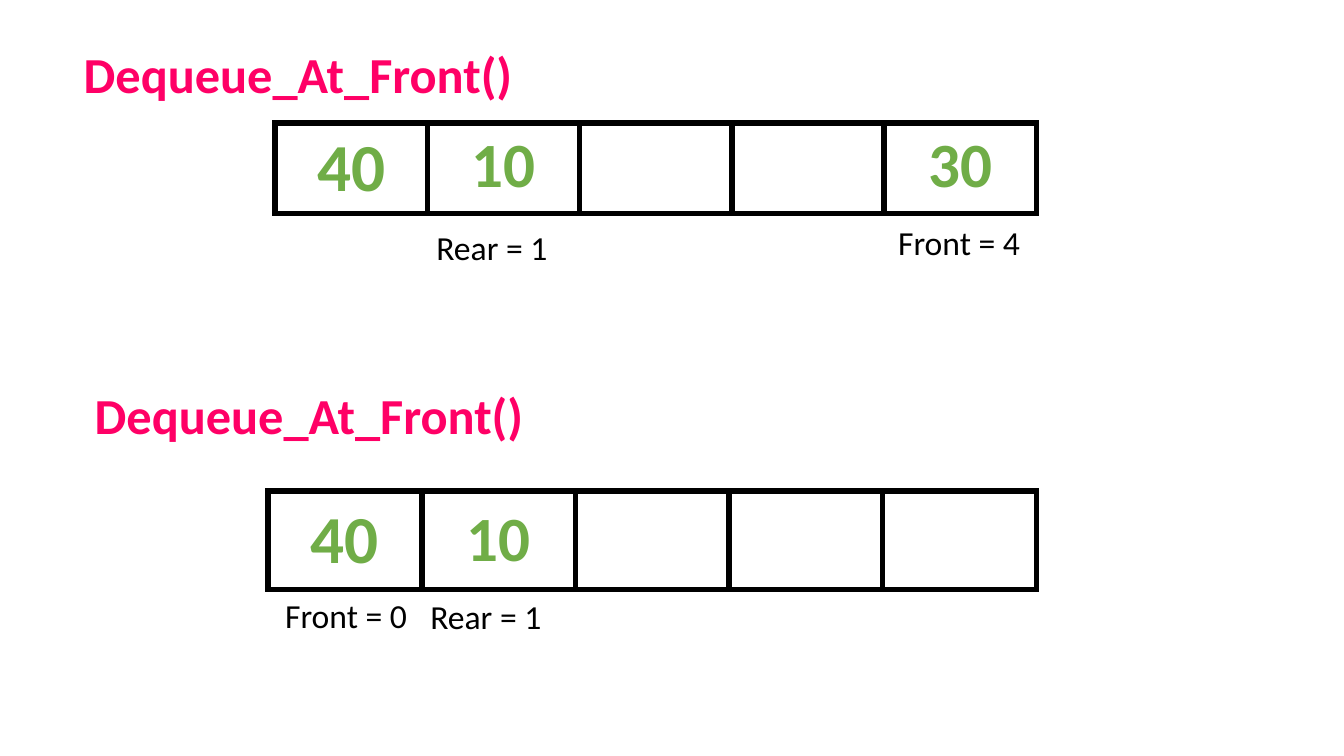
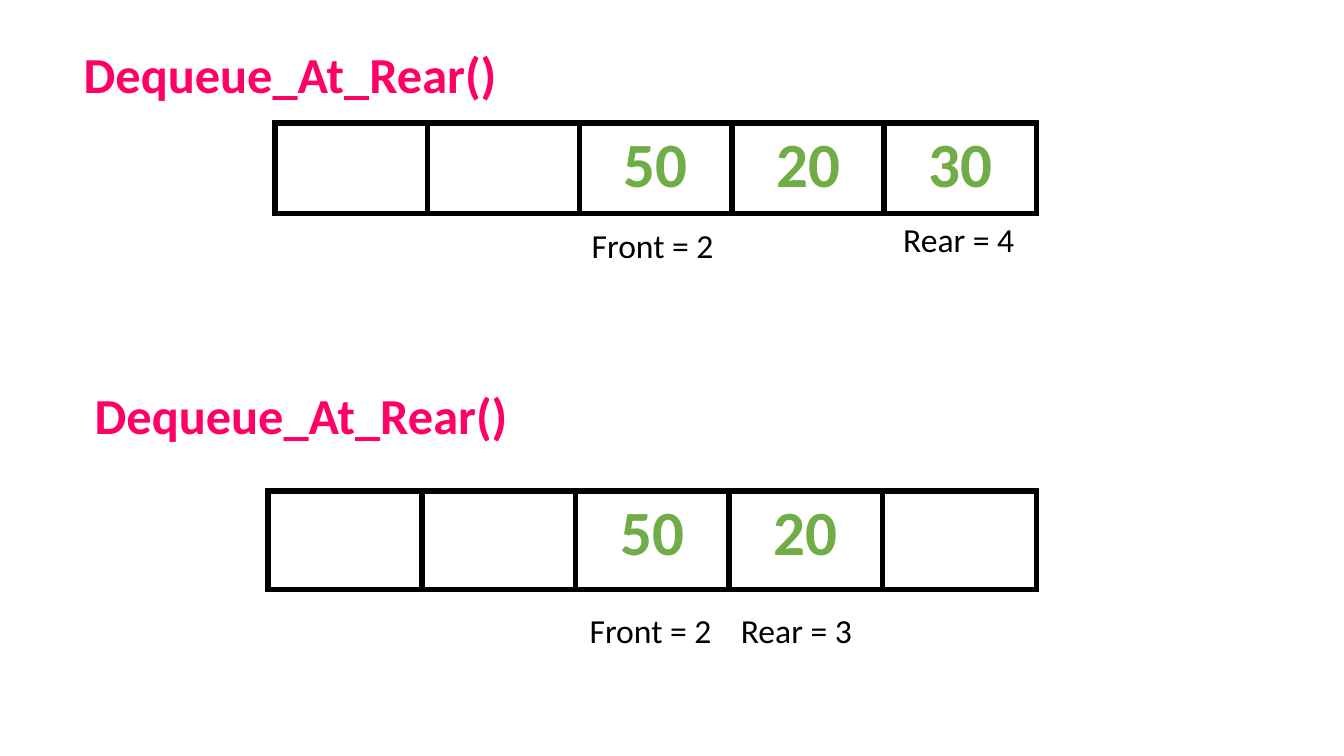
import dataclasses

import lxml.etree
import pptx
import pptx.dml.color
import pptx.enum.text
import pptx.oxml.ns
import pptx.util

Inches = pptx.util.Inches
Pt = pptx.util.Pt
RGB = pptx.dml.color.RGBColor
Align = pptx.enum.text.PP_ALIGN
Anchor = pptx.enum.text.MSO_ANCHOR
qn = pptx.oxml.ns.qn


@dataclasses.dataclass(frozen=True)
class Theme:
    font: str = "Calibri"
    heading_color: RGB = RGB(0xFF, 0x00, 0x66)
    value_color: RGB = RGB(0x70, 0xAD, 0x47)
    label_color: RGB = RGB(0x00, 0x00, 0x00)
    cell_color: RGB = RGB(0xFF, 0xFF, 0xFF)
    border_color: str = "000000"
    border_width: float = 4.5
    heading_size: float = 36
    value_size: float = 45
    large_value_size: float = 48
    label_size: float = 24


class QueueDeck:
    """Draws array diagrams of a double-ended queue in one shared style."""

    def __init__(self, theme):
        self.theme = theme
        self.deck = pptx.Presentation()
        self.deck.slide_width = Inches(13.33)
        self.deck.slide_height = Inches(7.5)
        self.slide = None

    def new_slide(self):
        self.slide = self.deck.slides.add_slide(self.deck.slide_layouts[5])

    def style_text(self, frame, text, size, color, bold=False, align=Align.LEFT):
        frame.text = text
        paragraph = frame.paragraphs[0]
        paragraph.alignment = align
        for run in paragraph.runs:
            run.font.name = self.theme.font
            run.font.size = Pt(size)
            run.font.bold = bold
            run.font.color.rgb = color

    def format_heading(self, heading, text):
        frame = heading.text_frame
        frame.word_wrap = True
        frame.auto_size = pptx.enum.text.MSO_AUTO_SIZE.NONE
        frame.vertical_anchor = Anchor.TOP
        self.style_text(frame, text, self.theme.heading_size,
                        self.theme.heading_color, bold=True)

    def title(self, text, left, top):
        heading = self.slide.shapes.title
        heading.left, heading.top = Inches(left), Inches(top)
        heading.width, heading.height = Inches(8.51), Inches(0.71)
        self.format_heading(heading, text)

    def subheading(self, text, left, top):
        heading = self.slide.shapes.add_textbox(
            Inches(left), Inches(top), Inches(8.51), Inches(0.71))
        self.format_heading(heading, text)

    def pointer(self, text, left, top):
        label = self.slide.shapes.add_textbox(
            Inches(left), Inches(top), Inches(1.73), Inches(0.5))
        label.text_frame.word_wrap = True
        self.style_text(label.text_frame, text, self.theme.label_size, self.theme.label_color)

    def border(self, cell):
        properties = cell._tc.get_or_add_tcPr()
        for side in ("a:lnL", "a:lnR", "a:lnT", "a:lnB"):
            line = lxml.etree.SubElement(
                properties, qn(side), w=str(Pt(self.theme.border_width)))
            fill = lxml.etree.SubElement(line, qn("a:solidFill"))
            lxml.etree.SubElement(fill, qn("a:srgbClr"), val=self.theme.border_color)

    def array(self, values, left, top, width, height, large=(), centred=()):
        queue = self.slide.shapes.add_table(
            1, len(values), Inches(left), Inches(top), Inches(width), Inches(height)).table
        queue.first_row = queue.horz_banding = False
        for index, value in enumerate(values):
            cell = queue.cell(0, index)
            self.border(cell)
            cell.fill.solid()
            cell.fill.fore_color.rgb = self.theme.cell_color
            if index in centred:
                cell.vertical_anchor = Anchor.MIDDLE
                cell.margin_top = cell.margin_bottom = 0
            size = self.theme.large_value_size if index in large else self.theme.value_size
            self.style_text(cell.text_frame, value, size, self.theme.value_color,
                            bold=True, align=Align.CENTER)

    def operation(self, name, before, after, pointers, large=(),
                  centred_before=(), centred_after=()):
        self.new_slide()
        self.title(name, 0.73, 0.38)
        self.array(before, 2.73, 1.22, 7.55, 0.9, large, centred_before)
        self.subheading(name, 0.84, 3.76)
        self.array(after, 2.66, 4.87, 7.62, 0.98, large, centred_after)
        for text, left, top in pointers:
            self.pointer(text, left, top)


def main():
    queue_deck = QueueDeck(Theme())
    queue_deck.operation(
        "Dequeue_At_Front()",
        before=["40", "10", "", "", "30"],
        after=["40", "10", "", "", ""],
        pointers=[("Rear = 1", 4.23, 2.2), ("Front = 4", 8.81, 2.15),
                  ("Front = 0", 2.73, 5.85), ("Rear = 1", 4.17, 5.86)],
        large=(0,), centred_before=(0,), centred_after=(0, 1))
    queue_deck.operation(
        "Dequeue_At_Rear()",
        before=["", "", "50", "20", "30"],
        after=["", "", "50", "20", ""],
        pointers=[("Front = 2", 5.77, 2.18), ("Rear = 4", 8.86, 2.12),
                  ("Front = 2", 5.75, 6), ("Rear = 3", 7.25, 6)])
    queue_deck.deck.save("out.pptx")


if __name__ == "__main__":
    main()
